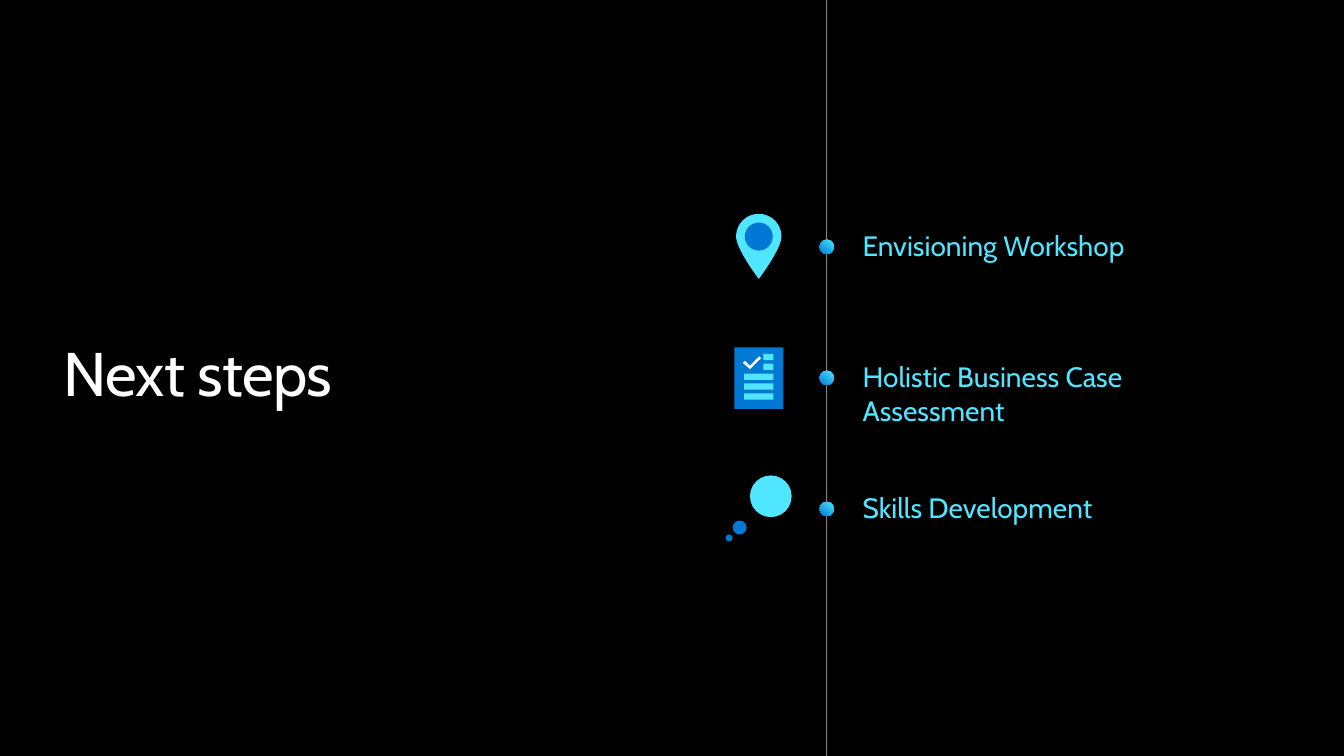
import math

import lxml.etree
import pptx
import pptx.dml.color
import pptx.enum.shapes
import pptx.oxml.ns
import pptx.util
from pptx.util import Pt

BLACK, WHITE, BLUE, CYAN = "000000", "FFFFFF", "0078D4", "50E6FF"
FONT = "Cabin"
STEPS = ["Envisioning Workshop", "Holistic Business Case Assessment", "Skills Development"]
LINE_X = 590.5
FIRST_STEP_Y = 176.4
STEP_PITCH = 93.6
DOT_RADIUS = 5.1


def color(value):
    return pptx.dml.color.RGBColor.from_string(value)


def paint(shape, fill):
    shape.shadow.inherit = False
    shape.line.fill.background()
    shape.fill.solid()
    shape.fill.fore_color.rgb = color(fill)


def add_text(slide, text, left, top, width, height, size, fill):
    frame = slide.shapes.add_textbox(Pt(left), Pt(top), Pt(width), Pt(height)).text_frame
    frame.word_wrap = True
    frame.margin_left = frame.margin_top = frame.margin_right = frame.margin_bottom = 0
    paragraph = frame.paragraphs[0]
    paragraph.text = text
    paragraph.font.name = FONT
    paragraph.font.size = Pt(size)
    paragraph.font.color.rgb = color(fill)
    return paragraph


def add_circle(shapes, x, y, radius, fill):
    shape = shapes.add_shape(
        pptx.enum.shapes.MSO_SHAPE.OVAL,
        Pt(x - radius), Pt(y - radius), Pt(2 * radius), Pt(2 * radius))
    paint(shape, fill)
    return shape


def add_rectangle(shapes, left, top, width, height, fill):
    shape = shapes.add_shape(
        pptx.enum.shapes.MSO_SHAPE.RECTANGLE, Pt(left), Pt(top), Pt(width), Pt(height))
    paint(shape, fill)


def add_outline(shapes, points, fill):
    corners = [(Pt(x), Pt(y)) for x, y in points]
    builder = shapes.build_freeform(*corners[0], scale=1.0)
    builder.add_line_segments(corners[1:], close=True)
    paint(builder.convert_to_shape(), fill)


def add_timeline(slide, height):
    line = slide.shapes.add_connector(
        pptx.enum.shapes.MSO_CONNECTOR.STRAIGHT, Pt(LINE_X), 0, Pt(LINE_X), Pt(height))
    line.line.width = Pt(0.75)
    line.line.color.rgb = color(WHITE)
    properties = line._element.spPr
    fill = properties.find(".//" + pptx.oxml.ns.qn("a:srgbClr"))
    lxml.etree.SubElement(fill, pptx.oxml.ns.qn("a:alpha")).set("val", "51000")
    lxml.etree.SubElement(properties, pptx.oxml.ns.qn("a:effectLst"))


def add_dot(slide, y):
    dot = add_circle(slide.shapes, LINE_X, y, DOT_RADIUS, BLUE)
    dot.fill.gradient()
    dot.fill.gradient_angle = 50
    for stop, value in zip(dot.fill.gradient_stops, (BLUE, CYAN)):
        stop.color.rgb = color(value)


def add_pin(slide):
    shapes = slide.shapes.add_group_shape().shapes
    x, y, radius, tip = 542, 169, 16.2, 199.3
    angles = [math.radians(degrees) for degrees in range(180, 361, 5)]
    head = [(x + radius * math.cos(a), y + radius * math.sin(a)) for a in angles]
    side = []
    for step in range(1, 21):
        t = step / 20
        start, bend, end = (1 - t) ** 3, 3 * t * (1 - t) ** 2, 3 * t ** 2 * (1 - t) + t ** 3
        side.append((x + radius * (start + bend), y * start + (y + 9) * bend + tip * end))
    mirrored = [(2 * x - px, py) for px, py in reversed(side[:-1])]
    add_outline(shapes, head + side + mirrored, CYAN)
    add_circle(shapes, x, y, 10, BLUE)


def add_checklist(slide):
    shapes = slide.shapes.add_group_shape().shapes
    add_rectangle(shapes, 524.5, 248.2, 35, 44, BLUE)
    right = 552.5
    for row, width in enumerate([7.2, 7.2, 21, 21, 21]):
        add_rectangle(shapes, right - width, 252.7 + 7.05 * row, width, 4.5, CYAN)
    check = [(530.6, 259.2), (532.1, 257.8), (535.7, 261.2),
             (542.2, 254.5), (543.6, 255.9), (535.7, 263.7)]
    add_outline(shapes, check, WHITE)


def add_bubbles(slide):
    shapes = slide.shapes.add_group_shape().shapes
    add_circle(shapes, 550.6, 354.5, 14.9, CYAN)
    add_circle(shapes, 528.3, 376.8, 5, BLUE)
    add_circle(shapes, 520.8, 384.3, 2.5, BLUE)


def main():
    presentation = pptx.Presentation()
    presentation.slide_width, presentation.slide_height = Pt(960), Pt(540)
    slide = presentation.slides.add_slide(presentation.slide_layouts[6])
    slide.background.fill.solid()
    slide.background.fill.fore_color.rgb = color(BLACK)

    title = add_text(slide, "Next steps", 45.4, 245.5, 226, 48, 44, WHITE)
    title.line_spacing = 0.9
    title.runs[0].font._element.set("spc", "-50")

    add_timeline(slide, 540)
    for index, (step, add_icon) in enumerate(zip(STEPS, (add_pin, add_checklist, add_bubbles))):
        y = FIRST_STEP_Y + index * STEP_PITCH
        add_icon(slide)
        add_dot(slide, y)
        paragraph = add_text(slide, step, 616.2, y - 13, 223.2, 24.5, 20, CYAN)
        paragraph.space_after = Pt(6)
    presentation.save("out.pptx")


if __name__ == "__main__":
    main()
